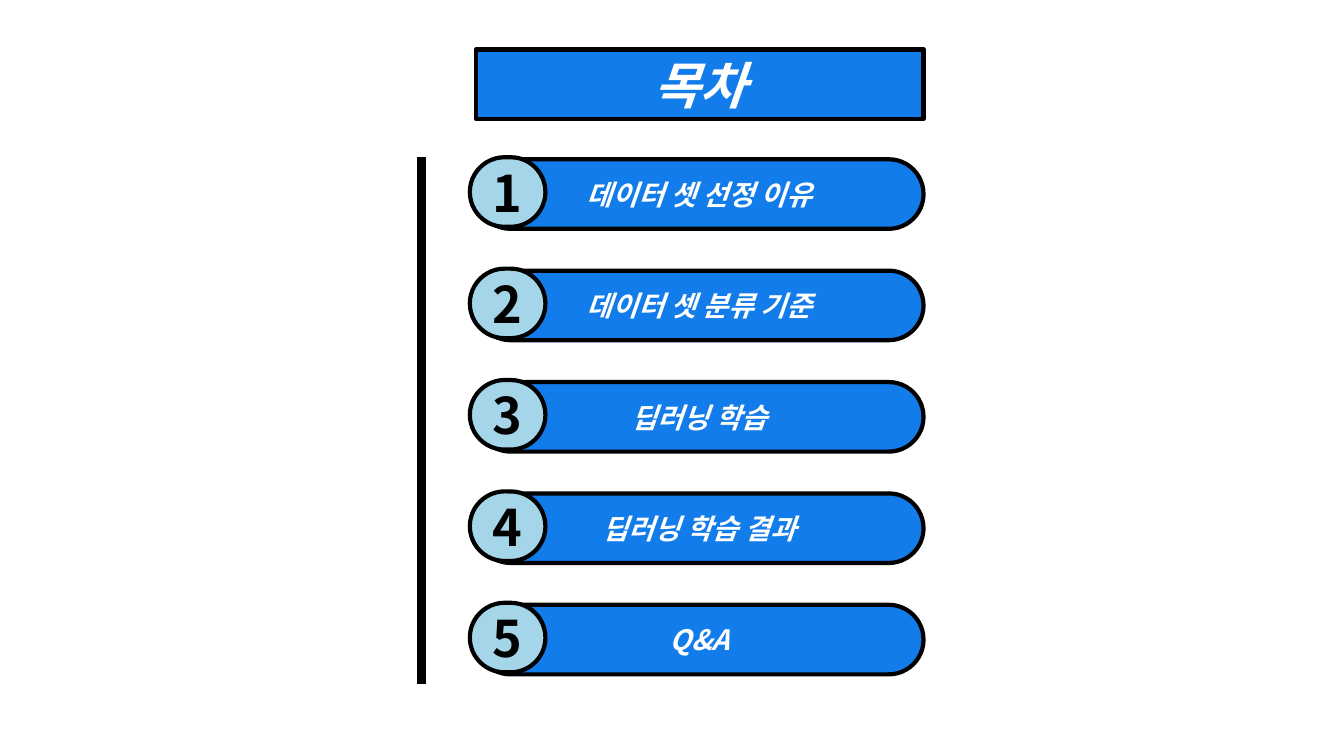
import pptx
import pptx.util
import pptx.dml.color
import pptx.enum.shapes
import pptx.enum.text
import pptx.oxml
import pptx.oxml.ns

INK = {"bar": "127CEA", "badge": "A5D5E9", "line": "000000", "light": "FFFFFF"}
FONT = "Noto Sans CJK KR"
WIDE, HIGH = 13.33, 7.5
BAR_W, BAR_H = 4.44, 0.69
BADGE_W = 0.75
PITCH = 1.105
TOPICS = ["데이터 셋 선정 이유", "데이터 셋 분류 기준", "딥러닝 학습", "딥러닝 학습 결과", "Q&A"]
inch = pptx.util.Inches


def shade(name):
    """Return the named colour."""
    return pptx.dml.color.RGBColor.from_string(INK[name])


def write(shape, text, size=20, color="light", italic=True):
    """Put centred bold text in a shape."""
    frame = shape.text_frame
    frame.text = text
    frame.word_wrap = True
    frame.auto_size = pptx.enum.text.MSO_AUTO_SIZE.NONE
    frame.vertical_anchor = pptx.enum.text.MSO_ANCHOR.MIDDLE
    line = frame.paragraphs[0]
    line.alignment = pptx.enum.text.PP_ALIGN.CENTER
    font = line.runs[0].font
    font.size = pptx.util.Pt(size)
    font.bold, font.italic = True, italic
    font.color.rgb = shade(color)
    font.name = FONT
    east = pptx.oxml.parse_xml(f'<a:ea {pptx.oxml.ns.nsdecls("a")} typeface="{FONT}"/>')
    line.runs[0].font._element.append(east)


def paint(shape, fill):
    """Fill a shape and give it the heavy outline."""
    shape.fill.solid()
    shape.fill.fore_color.rgb = shade(fill)
    shape.line.color.rgb = shade("line")
    shape.line.width = pptx.util.Pt(3)


def pill(slide, box, fill, text, **style):
    """Add a fully rounded bar with text."""
    kind = pptx.enum.shapes.MSO_SHAPE.ROUNDED_RECTANGLE
    shape = slide.shapes.add_shape(kind, *map(inch, box))
    shape.adjustments[0] = 0.5
    shape.shadow.inherit = False
    paint(shape, fill)
    write(shape, text, **style)


def head(slide, box, text):
    """Shape the title placeholder as a rounded bar."""
    title = slide.shapes.title
    title.left, title.top, title.width, title.height = map(inch, box)
    form = pptx.oxml.parse_xml(
        f'<a:prstGeom {pptx.oxml.ns.nsdecls("a")} prst="roundRect">'
        '<a:avLst><a:gd name="adj" fmla="val 50000"/></a:avLst></a:prstGeom>')
    title._element.spPr.insert(1, form)
    paint(title, "bar")
    write(title, text, size=36)


def rule(slide, left, top, high):
    """Draw the thick upright line."""
    kind = pptx.enum.shapes.MSO_CONNECTOR.STRAIGHT
    ends = map(inch, (left, top + high, left, top))
    line = slide.shapes.add_connector(kind, *ends)
    line.line.color.rgb = shade("line")
    line.line.width = pptx.util.Pt(6)
    bare = pptx.oxml.parse_xml(f'<a:effectLst {pptx.oxml.ns.nsdecls("a")}/>')
    line._element.spPr.append(bare)


def agenda(slide, box, topics):
    """Stack the numbered topics beside an upright line."""
    left, top, wide, high = box
    rule(slide, left, top, high)
    edge = left + wide - BAR_W
    for row, topic in enumerate(topics):
        y = top + row * PITCH
        pill(slide, (edge, y + 0.02, BAR_W, BAR_H), "bar", topic)
        pill(slide, (edge - 0.06, y, BADGE_W, BAR_H), "badge", str(row + 1),
             size=36, color="line", italic=False)


def main():
    """Build and save the contents slide."""
    deck = pptx.Presentation()
    deck.slide_width, deck.slide_height = inch(WIDE), inch(HIGH)
    slide = deck.slides.add_slide(deck.slide_layouts[5])
    head(slide, (4.72, 0.49, BAR_W, BAR_H), "목차")
    agenda(slide, (4.18, 1.56, 4.98, 5.23), TOPICS)
    deck.save("out.pptx")


if __name__ == "__main__":
    main()
